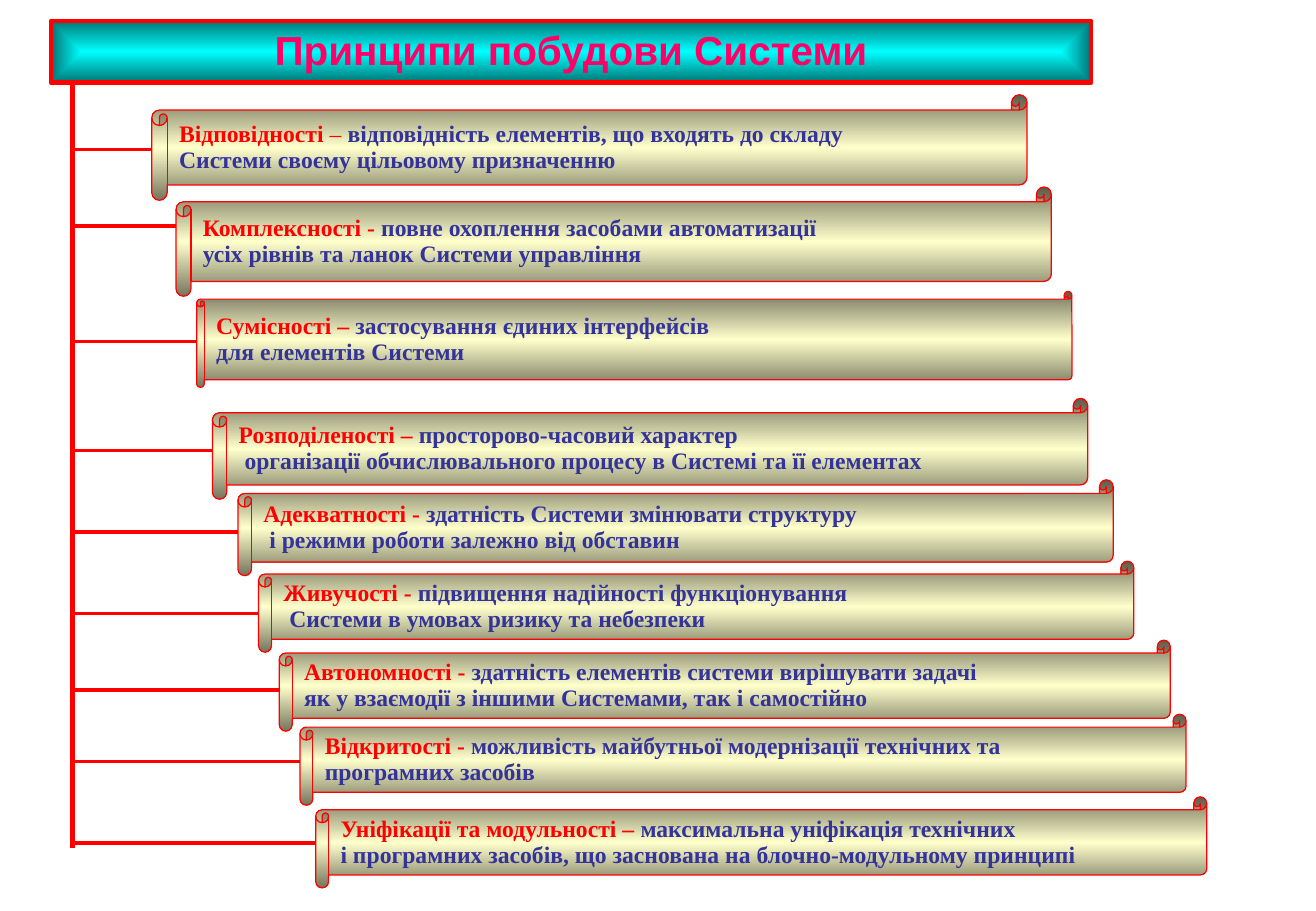
from dataclasses import dataclass
from typing import NamedTuple

from pptx import Presentation
from pptx.dml.color import RGBColor
from pptx.enum.shapes import MSO_CONNECTOR, MSO_SHAPE
from pptx.enum.text import MSO_ANCHOR, MSO_AUTO_SIZE, PP_ALIGN
from pptx.oxml import parse_xml
from pptx.oxml.ns import nsdecls, qn
from pptx.util import Inches, Pt


class Principle(NamedTuple):
    """Wording, then scroll box, curl and branch height (lengths in % of slide)."""
    term: str
    dash: str
    meaning: str
    second_line: str
    left: float
    top: float
    width: float
    height: float
    curl: float
    branch_y: float


TITLE = "Принципи побудови Системи"
PRINCIPLES = [
    Principle("Відповідності", " – ", "відповідність елементів, що входять до складу",
              "Системи своєму цільовому призначенню",
              11.53, 10.4, 66.51, 11.6, 0.146, 16.4),
    Principle("Комплексності", " - ", "повне охоплення засобами автоматизації",
              "усіх рівнів та ланок Системи управління",
              13.38, 20.53, 66.51, 12, 0.136, 24.8),
    Principle("Сумісності", " – ", "застосування єдиних інтерфейсів",
              "для елементів Системи",
              14.94, 32, 66.51, 10.53, 0.08, 37.47),
    Principle("Розподіленості", " – ", "просторово-часовий характер",
              " організації обчислювального процесу в Системі та її елементах",
              16.14, 43.73, 66.51, 11.07, 0.142, 49.47),
    Principle("Адекватності", " - ", "здатність Системи змінювати структуру",
              " і режими роботи залежно від обставин",
              18.08, 52.67, 66.51, 10.53, 0.142, 58.4),
    Principle("Живучості", " - ", "підвищення надійності функціонування",
              " Системи в умовах ризику та небезпеки",
              19.65, 61.6, 66.51, 10, 0.142, 67.33),
    Principle("Автономності", " - ", "здатність елементів системи вирішувати задачі",
              "як у взаємодії з іншими Системами, так і самостійно",
              21.22, 70.27, 67.71, 10, 0.142, 75.73),
    Principle("Відкритості", " - ", "можливість майбутньої модернізації технічних та",
              "програмних засобів",
              22.79, 78.4, 67.34, 10, 0.142, 83.6),
    Principle("Уніфікації та модульності", " – ", "максимальна уніфікація технічних",
              "і програмних засобів, що заснована на блочно-модульному принципі",
              23.99, 87.47, 67.71, 10, 0.142, 92.53),
]
TITLE_BOX = (3.87, 2.27, 79.06, 6.8)
TRUNK_X, TRUNK_TOP, TRUNK_BOTTOM = 5.54, 9.07, 93.07


@dataclass(frozen=True)
class Theme:
    title_font: str = "Arial"
    body_font: str = "Times New Roman"
    title_size: float = 24
    body_size: float = 14
    line_spacing: float = 0.93
    title_color: str = "FF0066"
    red: str = "FF0000"
    meaning_color: str = "333399"
    title_stops: tuple = ((0, "00FFFF"), (100, "007575"))
    scroll_stops: tuple = ((0, "75755E"), (50, "FFFFCC"), (100, "75755E"))
    title_border: float = 2.5
    scroll_border: float = 0.75
    trunk_width: float = 3
    branch_width: float = 2


THEME = Theme()
FROM_TOP = '<a:lin ang="5400000" scaled="1"/>'
FROM_CENTRE = ('<a:path path="rect"><a:fillToRect l="50000" t="50000" '
               'r="50000" b="50000"/></a:path>')

deck = Presentation()
deck.slide_width, deck.slide_height = Inches(10.84), Inches(7.5)
slide = deck.slides.add_slide(deck.slide_layouts[5])


def across(percent):
    return round(deck.slide_width * percent / 100)


def down(percent):
    return round(deck.slide_height * percent / 100)


def paint(shape, stops, direction, border):
    shape.fill.gradient()
    gradient = shape.element.spPr.find(qn("a:gradFill"))
    colours = "".join(f'<a:gs pos="{pos * 1000}"><a:srgbClr val="{colour}"/></a:gs>'
                      for pos, colour in stops)
    gradient.getparent().replace(gradient, parse_xml(
        f'<a:gradFill {nsdecls("a")} rotWithShape="1">'
        f'<a:gsLst>{colours}</a:gsLst>{direction}</a:gradFill>'))
    shape.line.color.rgb = RGBColor.from_string(THEME.red)
    shape.line.width = Pt(border)


def style(run, font, size, colour, bold=True):
    run.font.name, run.font.size, run.font.bold = font, Pt(size), bold
    run.font.color.rgb = RGBColor.from_string(colour)


def add_title():
    title = slide.shapes.title
    left, top, width, height = TITLE_BOX
    title.left, title.top = across(left), down(top)
    title.width, title.height = across(width), down(height)
    paint(title, THEME.title_stops, FROM_CENTRE, THEME.title_border)
    frame = title.text_frame
    frame.text = TITLE
    frame.auto_size = MSO_AUTO_SIZE.NONE
    frame.vertical_anchor = MSO_ANCHOR.MIDDLE
    heading = frame.paragraphs[0]
    heading.alignment = PP_ALIGN.CENTER
    heading.line_spacing = THEME.line_spacing
    style(heading.runs[0], THEME.title_font, THEME.title_size, THEME.title_color)


def add_scroll(principle):
    scroll = slide.shapes.add_shape(
        MSO_SHAPE.HORIZONTAL_SCROLL, across(principle.left), down(principle.top),
        across(principle.width), down(principle.height))
    scroll.shadow.inherit = False
    scroll.adjustments[0] = principle.curl
    paint(scroll, THEME.scroll_stops, FROM_TOP, THEME.scroll_border)
    frame = scroll.text_frame
    frame.word_wrap = False
    frame.vertical_anchor = MSO_ANCHOR.MIDDLE
    first, second = frame.paragraphs[0], frame.add_paragraph()
    dash_bold = principle is not PRINCIPLES[0]
    pieces = [
        (first, principle.term, THEME.red, True),
        (first, principle.dash, THEME.red, dash_bold),
        (first, principle.meaning, THEME.meaning_color, True),
        (second, principle.second_line, THEME.meaning_color, True),
    ]
    for paragraph, words, colour, bold in pieces:
        paragraph.alignment = PP_ALIGN.LEFT
        paragraph.line_spacing = THEME.line_spacing
        run = paragraph.add_run()
        run.text = words
        style(run, THEME.body_font, THEME.body_size, colour, bold)


def add_line(x1, y1, x2, y2, width):
    line = slide.shapes.add_connector(
        MSO_CONNECTOR.STRAIGHT, across(x1), down(y1), across(x2), down(y2))
    line.line.color.rgb = RGBColor.from_string(THEME.red)
    line.line.width = Pt(width)
    line.element.spPr.append(parse_xml(f'<a:effectLst {nsdecls("a")}/>'))


add_title()
for principle in PRINCIPLES:
    add_scroll(principle)
add_line(TRUNK_X, TRUNK_TOP, TRUNK_X, TRUNK_BOTTOM, THEME.trunk_width)
for principle in PRINCIPLES:
    add_line(TRUNK_X, principle.branch_y, principle.left, principle.branch_y,
             THEME.branch_width)
deck.save("out.pptx")
